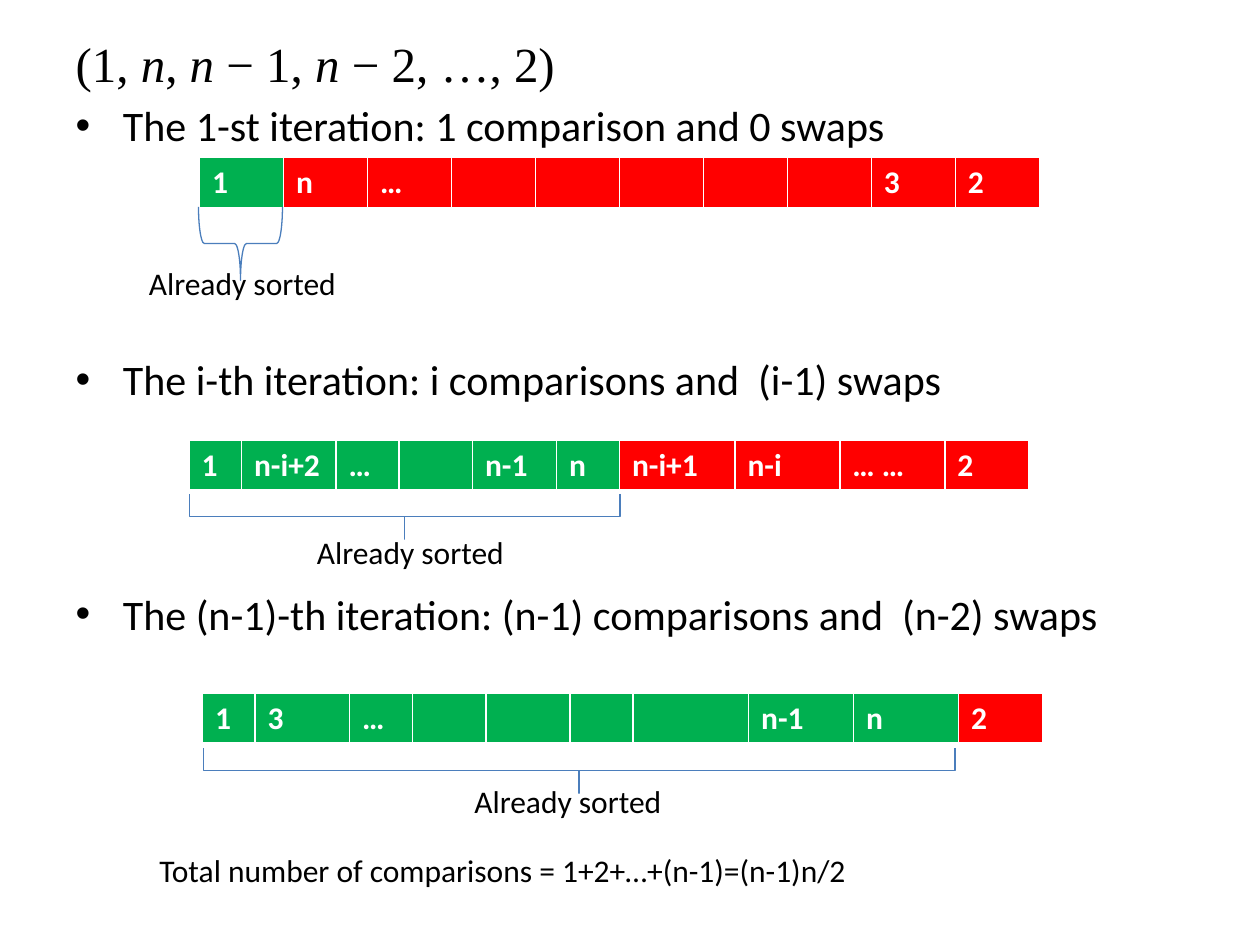
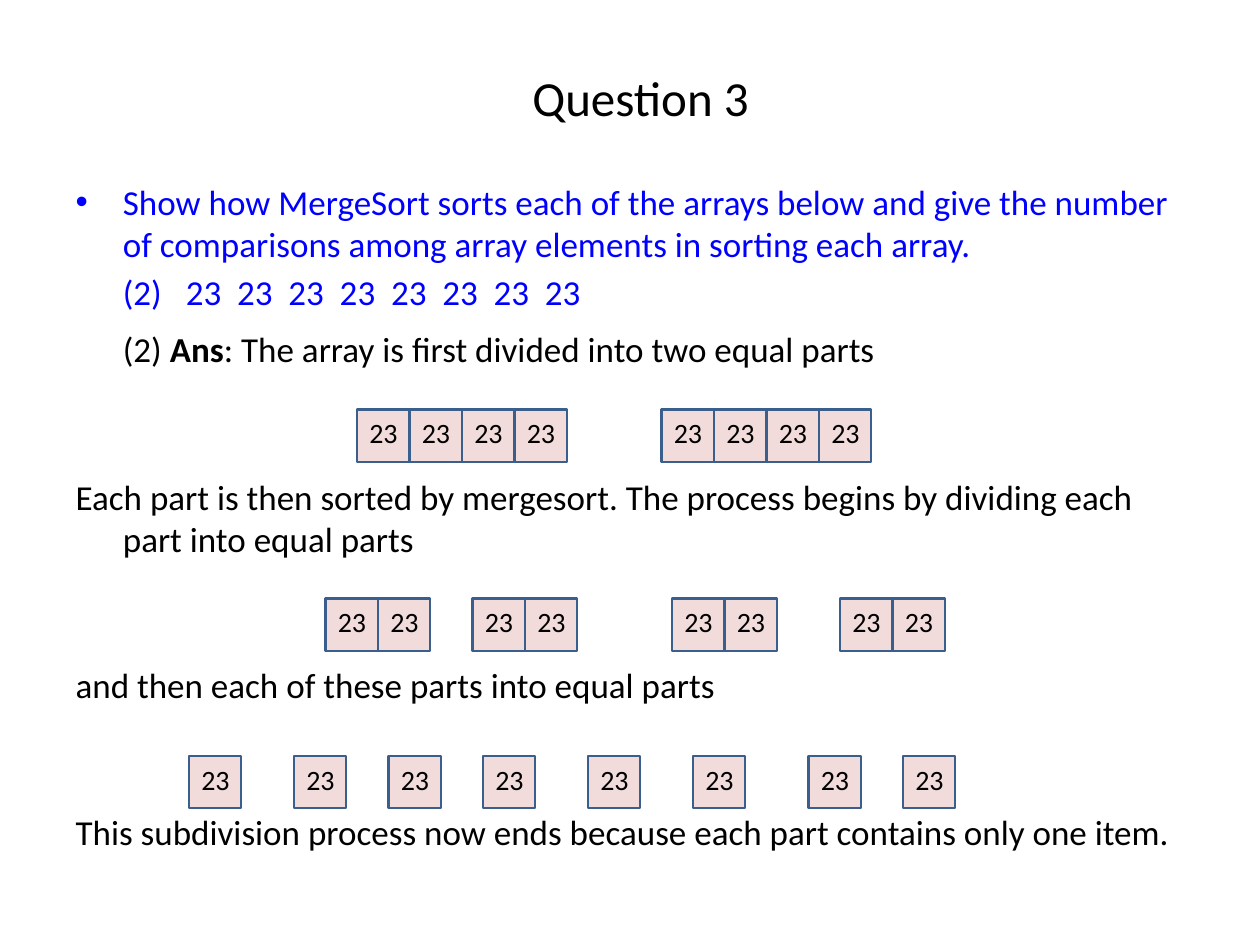
import pptx
import pptx.util
import pptx.dml.color
import pptx.enum.shapes
import pptx.enum.text
import pptx.oxml.ns
import lxml.etree

PX = 7620  # 120 px to the inch
RGB = pptx.dml.color.RGBColor
BLACK = RGB(0x00, 0x00, 0x00)
WHITE = RGB(0xFF, 0xFF, 0xFF)
BLUE = RGB(0x00, 0x00, 0xFF)
GREEN = RGB(0x00, 0xB0, 0x50)
RED = RGB(0xFF, 0x00, 0x00)
PINK = RGB(0xF2, 0xDC, 0xDB)
EDGE = RGB(0x3A, 0x5F, 0x8C)
BRACE = RGB(0x4B, 0x7E, 0xBC)
SANS, SERIF = "Calibri", "Times New Roman"
HANG = 45
qn = pptx.oxml.ns.qn
Pt = pptx.util.Pt
SHAPE = pptx.enum.shapes.MSO_SHAPE
ANCHOR = pptx.enum.text.MSO_ANCHOR
ALIGN = pptx.enum.text.PP_ALIGN


def write(para, text, size, color=BLACK, font=SANS, bold=False, italic=False):
    run = para.add_run()
    run.text = text
    run.font.size = Pt(size)
    run.font.name = font
    run.font.color.rgb = color
    run.font.bold = bold
    run.font.italic = italic


def fill_body(slide, box, paras):
    """Place the body; each paragraph is (space before, style, runs)."""
    body = slide.placeholders[1]
    body.left, body.top, body.width, body.height = [n * PX for n in box]
    frame = body.text_frame
    frame.auto_size = pptx.enum.text.MSO_AUTO_SIZE.NONE
    frame.margin_top = 12 * PX
    for i, (space, style, runs) in enumerate(paras):
        para = frame.add_paragraph() if i else frame.paragraphs[0]
        props = para._p.get_or_add_pPr()
        props.set("marL", str(HANG * PX))
        props.set("indent", "0" if style == "block" else str(-HANG * PX))
        if style == "bullet":
            face = lxml.etree.SubElement(props, qn("a:buFont"))
            face.set("typeface", "Arial")
            lxml.etree.SubElement(props, qn("a:buChar")).set("char", "•")
        else:
            lxml.etree.SubElement(props, qn("a:buNone"))
        para.space_before = Pt(space)
        for text, look in runs:
            write(para, text, **look)


deck = pptx.Presentation()
deck.slide_width, deck.slide_height = 1200 * PX, 900 * PX
layout = deck.slide_layouts[1]

# Slide 1: iterations of insertion sort
slide = deck.slides.add_slide(layout)
title = slide.shapes.title.element
title.getparent().remove(title)

plain = dict(size=28, font=SERIF)
slant = dict(plain, italic=True)
item = dict(size=24)
fill_body(slide, (60, 20, 1130, 820), [
    (0, "hang", [("(1, ", plain), ("n", slant), (", ", plain), ("n", slant),
                 (" − 1, ", plain), ("n", slant), (" − 2, …, 2)", plain)]),
    (4.3, "bullet", [("The 1-st iteration: 1 comparison and 0 swaps", item)]),
    (116.3, "bullet",
     [("The i-th iteration: i comparisons and  (i-1) swaps", item)]),
    (105, "bullet",
     [("The (n-1)-th iteration: (n-1) comparisons and  (n-2) swaps", item)]),
])

EVEN = [80] * 10
MIXED = [50, 90, 60, 70, 80, 60, 110, 100, 100, 80]
arrays = [  # left, top, column widths, sorted count, values
    (190, 150, EVEN, 1, ["1", "n", "…", "", "", "", "", "", "3", "2"]),
    (180, 419, MIXED, 6,
     ["1", "n-i+2", "…", "", "n-1", "n", "n-i+1", "n-i", "… …", "2"]),
    (193, 660, MIXED, 9, ["1", "3", "…", "", "", "", "", "n-1", "n", "2"]),
]
for left, top, widths, done, values in arrays:
    table = slide.shapes.add_table(1, len(values), left * PX, top * PX,
                                   sum(widths) * PX, 49 * PX).table
    table.first_row = table.horz_banding = False
    for i, (width, value) in enumerate(zip(widths, values)):
        table.columns[i].width = width * PX
        cell = table.cell(0, i)
        props = cell._tc.get_or_add_tcPr()
        for side, weight in (("L", 1), ("R", 1), ("T", 1), ("B", 3)):
            line = lxml.etree.SubElement(props, qn("a:ln" + side))
            line.set("w", str(Pt(weight)))
            solid = lxml.etree.SubElement(line, qn("a:solidFill"))
            lxml.etree.SubElement(solid, qn("a:srgbClr")).set("val", str(WHITE))
        cell.fill.solid()
        cell.fill.fore_color.rgb = GREEN if i < done else RED
        if value:
            write(cell.text_frame.paragraphs[0], value, 18, WHITE, bold=True)

braces = [  # box before the quarter turn, curl
    ((194, 192, 70, 80), 0.08),
    ((364, 287, 43, 410), 0),
    ((530, 376, 43, 716), 0),
]
for box, curl in braces:
    brace = slide.shapes.add_shape(SHAPE.RIGHT_BRACE, *[n * PX for n in box])
    brace.rotation = 90
    brace.adjustments[0], brace.adjustments[1] = curl, 0.5
    brace.shadow.inherit = False
    brace.fill.background()
    brace.line.color.rgb = BRACE
    brace.line.width = Pt(0.75)

SORTED = "Already sorted"
labels = [
    (130, 246, 300, SORTED),
    (290, 502, 300, SORTED),
    (440, 739, 300, SORTED),
    (140, 805, 800, "Total number of comparisons = 1+2+…+(n-1)=(n-1)n/2"),
]
for left, top, width, text in labels:
    label = slide.shapes.add_textbox(left * PX, top * PX, width * PX, 48 * PX)
    label.text_frame.word_wrap = True
    write(label.text_frame.paragraphs[0], text, 18)

# Slide 2: splitting an array by MergeSort
slide = deck.slides.add_slide(layout)
title = slide.shapes.title
title.left, title.top, title.width, title.height = 70 * PX, 70 * PX, 1080 * PX, 44 * PX
title.text_frame.auto_size = pptx.enum.text.MSO_AUTO_SIZE.NONE
title.text_frame.vertical_anchor = ANCHOR.MIDDLE
head = title.text_frame.paragraphs[0]
head.alignment = ALIGN.CENTER
write(head, "Question 3", 28)

task = dict(size=20, color=BLUE)
reply = dict(size=20)
fill_body(slide, (60, 160, 1070, 690), [
    (0, "bullet", [("Show how MergeSort sorts each of the arrays below and give "
                    "the number of comparisons among array elements in sorting "
                    "each array.", task)]),
    (3.6, "block", [("(2) \t23  23  23  23  23  23  23  23", task)]),
    (8.2, "block", [("(2) ", reply), ("Ans", dict(reply, bold=True)),
                    (": The array is first divided into two equal parts", reply)]),
    (60.7, "hang", [("Each part is then sorted by mergesort. The process begins "
                     "by dividing each part into equal parts", reply)]),
    (59.6, "hang", [("and then each of these parts into equal parts", reply)]),
    (59.6, "hang", [("This subdivision process now ends because each part "
                     "contains only one item.", reply)]),
])

SIDE = 50
levels = [  # top, cells in a part, left of each part
    (390, 4, [340, 630]),
    (570, 2, [310, 450, 640, 800]),
    (720, 1, [180, 280, 370, 460, 560, 660, 770, 860]),
]
for top, count, starts in levels:
    for start in starts:
        for i in range(count):
            cell = slide.shapes.add_shape(
                SHAPE.RECTANGLE, (start + i * SIDE) * PX, top * PX,
                SIDE * PX, SIDE * PX)
            cell.shadow.inherit = False
            cell.fill.solid()
            cell.fill.fore_color.rgb = PINK
            cell.line.color.rgb = EDGE
            cell.line.width = Pt(1.25)
            frame = cell.text_frame
            frame.margin_right = 0
            frame.vertical_anchor = ANCHOR.TOP
            frame.paragraphs[0].alignment = ALIGN.LEFT
            write(frame.paragraphs[0], "23", 16)

deck.save("out.pptx")
